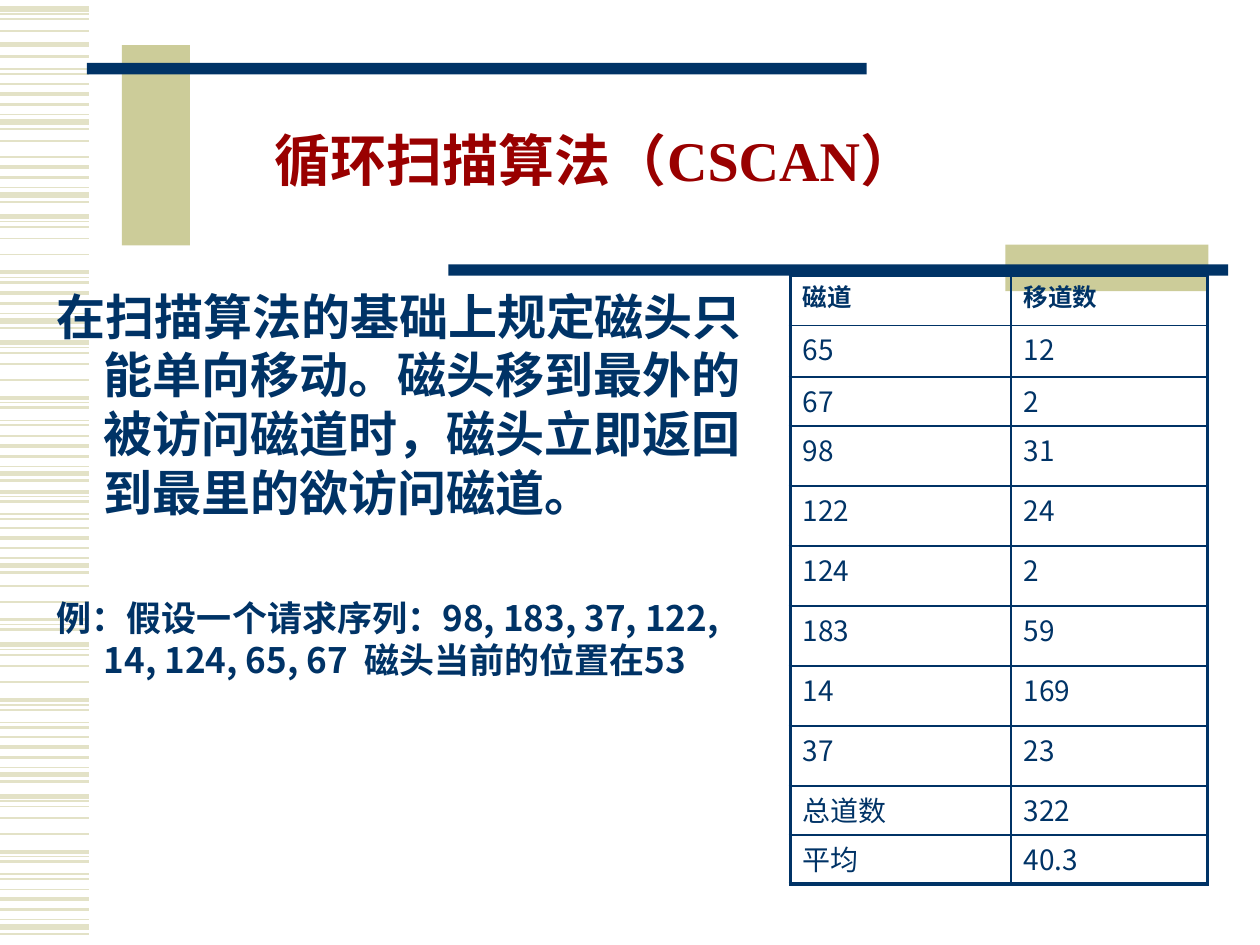
import dataclasses

import pptx
import pptx.dml.color
import pptx.enum.shapes
import pptx.enum.text
import pptx.oxml
import pptx.oxml.ns
import pptx.util
from pptx.util import Cm, Pt


@dataclasses.dataclass(frozen=True)
class Theme:
    navy: str = "003366"
    red: str = "990000"
    khaki: str = "CCCC99"
    stripe: str = "E3E2C7"
    latin: str = "Arial"
    serif: str = "Times New Roman"
    chinese: str = "Noto Sans CJK SC"
    title: int = 32
    body: int = 28
    example: int = 20
    header: int = 14
    cell: int = 16


THEME = Theme()

TITLE = "循环扫描算法（CSCAN）"
RULE = "在扫描算法的基础上规定磁头只能单向移动。磁头移到最外的被访问磁道时，磁头立即返回到最里的欲访问磁道。"
EXAMPLE = "例：假设一个请求序列：98, 183, 37, 122, 14, 124, 65, 67  磁头当前的位置在53"
MOVES = [
    ("磁道", "移道数"), ("65", "12"), ("67", "2"), ("98", "31"),
    ("122", "24"), ("124", "2"), ("183", "59"), ("14", "169"),
    ("37", "23"), ("总道数", "322"), ("平均", "40.3"),
]
COLUMN_WIDTHS = [4.45, 3.96]
ROW_HEIGHTS = [1.02, 1.04, 0.94] + [1.21] * 6 + [0.94] * 2

# Stripe motifs: (offset in cm, line width in points)
SHORT = [(-0.61, 1), (-0.41, 2.25), (-0.2, 1.5), (0, 0.75), (0.15, 3), (0.29, 1.5)]
LONG = [(0, 3), (0.1, 0.75), (0.21, 1), (0.44, 1), (0.76, 1), (1.12, 2.25),
        (1.22, 0.75), (1.32, 1.5), (1.57, 0.75), (1.67, 1.5)]
# Each motif with its base height in cm; some are cut short
STRIPES = [(base, SHORT) for base in (18.54, 15.47, 11.25, 9.4, 3.78, 2.31)]
STRIPES += [(base, LONG) for base in (16.05, 12.99, 6.9)]
STRIPES += [(6.32, SHORT[1:]), (11.37, LONG[3:8]), (8.79, LONG[5:]),
            (4.37, LONG[:8]), (0.18, LONG[:4]), (-0.18, LONG[7:]),
            (0.89, LONG[:1]), (2.08, LONG[4:5])]


def rgb(color):
    return pptx.dml.color.RGBColor.from_string(color)


def add_child(parent, tag, **attributes):
    child = pptx.oxml.ns.qn(tag)
    element = parent.makeelement(child, attributes)
    parent.append(element)
    return element


def format_text(para, size, color, latin, bold=True):
    for span in para.runs:
        span.font.size = Pt(size)
        span.font.bold = bold
        span.font.color.rgb = rgb(color)
        span.font.name = latin
        add_child(span.font._element, "a:ea", typeface=THEME.chinese)


def place(shape, left, top, width, height):
    shape.left, shape.top = Cm(left), Cm(top)
    shape.width, shape.height = Cm(width), Cm(height)


def add_stripe(page, top, weight):
    line = page.shapes.add_connector(
        pptx.enum.shapes.MSO_CONNECTOR.STRAIGHT, 0, Cm(top), Cm(1.8), Cm(top))
    line.line.color.rgb = rgb(THEME.stripe)
    line.line.width = Pt(weight)
    add_child(line._element.spPr, "a:effectLst")


def add_bar(page, left, top, width, height, color):
    bar = page.shapes.add_shape(
        pptx.enum.shapes.MSO_SHAPE.RECTANGLE,
        Cm(left), Cm(top), Cm(width), Cm(height))
    bar.shadow.inherit = False
    bar.fill.solid()
    bar.fill.fore_color.rgb = rgb(color)
    bar.line.fill.background()


def bring_to_front(page, shape):
    page.shapes._spTree.append(shape._element)


def fill_title(page):
    title = page.shapes.title
    bring_to_front(page, title)
    place(title, 0.89, 2.59, 22.23, 1.42)
    frame = title.text_frame
    frame.text = TITLE
    frame.vertical_anchor = pptx.enum.text.MSO_ANCHOR.BOTTOM
    frame.auto_size = pptx.enum.text.MSO_AUTO_SIZE.SHAPE_TO_FIT_TEXT
    para = frame.paragraphs[0]
    para.alignment = pptx.enum.text.PP_ALIGN.CENTER
    para.line_spacing = 0.85
    format_text(para, THEME.title, THEME.red, THEME.serif)


def fill_body(page):
    body = page.placeholders[1]
    bring_to_front(page, body)
    place(body, 0.89, 5.64, 15.04, 8.36)
    frame = body.text_frame
    frame.auto_size = pptx.enum.text.MSO_AUTO_SIZE.NONE
    frame.text = RULE
    frame.add_paragraph().text = EXAMPLE
    styles = [(THEME.body, THEME.latin, 0), (THEME.example, THEME.chinese, 43)]
    for para, (size, latin, gap) in zip(frame.paragraphs, styles):
        properties = para._element.get_or_add_pPr()
        properties.set("marL", str(Cm(0.95)))
        properties.set("indent", str(Cm(-0.95)))
        add_child(properties, "a:buNone")
        para.space_before = Pt(gap)
        format_text(para, size, THEME.navy, latin)


def set_borders(cell, outer_sides):
    properties = cell._tc.get_or_add_tcPr()
    for side in "LRTB":
        width = Pt(2.25 if side in outer_sides else 1)
        border = add_child(properties, f"a:ln{side}", w=str(width))
        fill = add_child(border, "a:solidFill")
        add_child(fill, "a:srgbClr", val=THEME.navy)


def add_moves_table(page):
    rows, columns = len(MOVES), len(COLUMN_WIDTHS)
    table = page.shapes.add_table(
        rows, columns, Cm(15.93), Cm(5.54),
        Cm(sum(COLUMN_WIDTHS)), Cm(sum(ROW_HEIGHTS))).table
    table.first_row = table.horz_banding = False
    for column, width in zip(table.columns, COLUMN_WIDTHS):
        column.width = Cm(width)
    for row, height in zip(table.rows, ROW_HEIGHTS):
        row.height = Cm(height)
    for i, values in enumerate(MOVES):
        for j, value in enumerate(values):
            cell = table.cell(i, j)
            outer_sides = "L" if j == 0 else "R"
            outer_sides += {0: "T", rows - 1: "B"}.get(i, "")
            set_borders(cell, outer_sides)
            cell.fill.background()
            cell.text_frame.text = value
            para = cell.text_frame.paragraphs[0]
            para.line_spacing = 0.9
            size = THEME.header if i == 0 else THEME.cell
            format_text(para, size, THEME.navy, THEME.chinese, bold=i == 0)


def main():
    deck = pptx.Presentation()
    deck.slide_width, deck.slide_height = Cm(25.4), Cm(19.05)
    page = deck.slides.add_slide(deck.slide_layouts[1])

    # Striped left edge
    for base, motif in STRIPES:
        for offset, weight in motif:
            add_stripe(page, base + offset, weight)

    # Crossed bars around the title
    add_bar(page, 2.46, 0.91, 1.37, 4.04, THEME.khaki)
    add_bar(page, 1.75, 1.27, 15.72, 0.23, THEME.navy)
    add_bar(page, 20.27, 4.93, 4.09, 0.94, THEME.khaki)
    add_bar(page, 9.04, 5.33, 15.72, 0.23, THEME.navy)

    # Content
    fill_title(page)
    fill_body(page)
    add_moves_table(page)
    deck.save("out.pptx")


if __name__ == "__main__":
    main()
